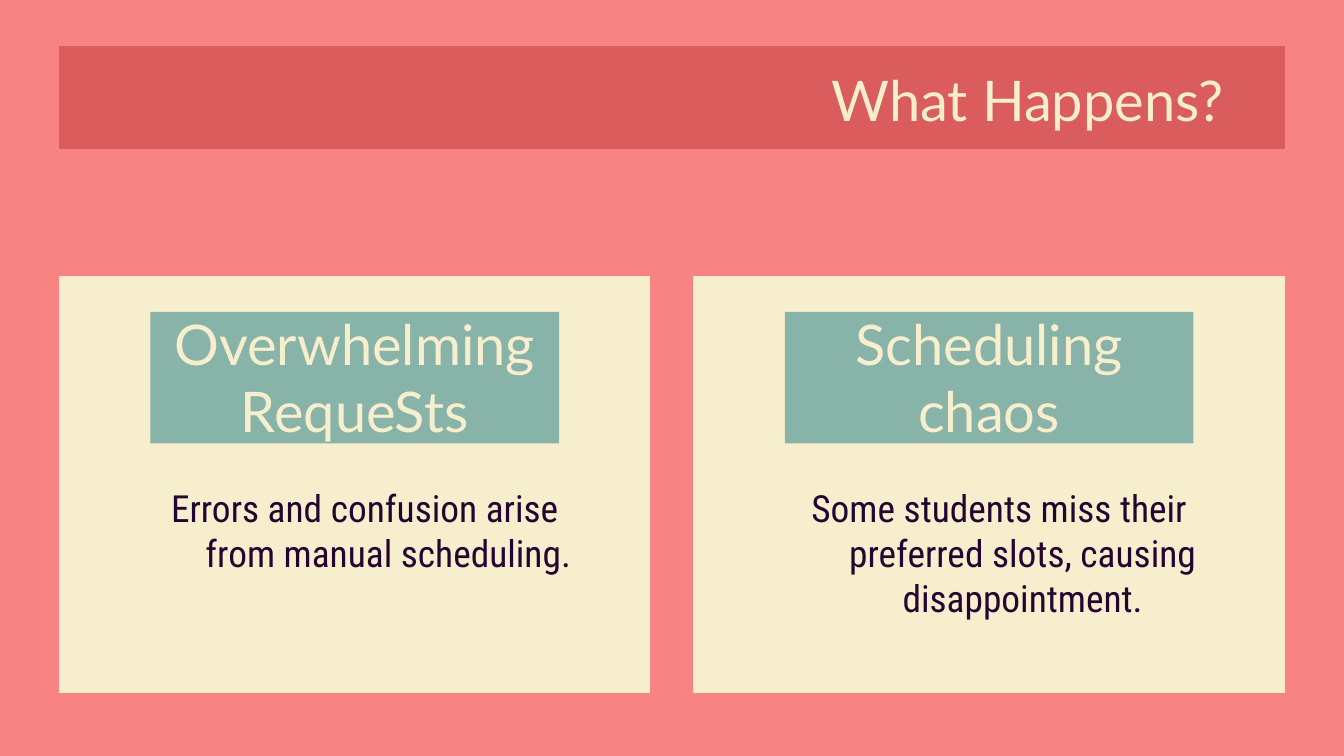
from pptx import Presentation
from pptx import util as u
from pptx.dml import color
from pptx.enum import shapes, text

HUES = {"back": "F78383", "bar": "DA5C5D", "cream": "F7EECE",
        "teal": "88B3A9", "ink": "240430"}
HEAD = {"name": "Lato", "size": u.Pt(30), "bold": False}
BODY = {"name": "Roboto Condensed", "size": u.Pt(20), "bold": False}
CARDS = [
    ("Overwhelming RequeSts", "Errors and confusion arise from manual scheduling."),
    ("Scheduling chaos",
     "Some students miss their preferred slots, causing disappointment."),
]


def tint(key):
    """Return the named colour."""
    return color.RGBColor.from_string(HUES[key])


def put(item, values):
    """Set each attribute of an item from a dict."""
    for name, value in values.items():
        setattr(item, name, value)


def block(slide, kind, box, key):
    """Add a plain filled shape."""
    shape = slide.shapes.add_shape(kind, *map(u.Inches, box))
    shape.shadow.inherit = False
    shape.fill.solid()
    shape.fill.fore_color.rgb = tint(key)
    shape.line.fill.background()
    return shape


def write(shape, words, font, key, align, anchor, pad):
    """Fill a shape with one formatted paragraph and return it."""
    frame = shape.text_frame
    side = u.Inches(0.1)
    put(frame, {"text": words, "word_wrap": True, "vertical_anchor": anchor,
                "auto_size": text.MSO_AUTO_SIZE.NONE,
                "margin_left": side, "margin_right": side,
                "margin_top": u.Inches(pad), "margin_bottom": u.Inches(pad)})
    para = frame.paragraphs[0]
    para.alignment = align
    run = para.runs[0]
    put(run.font, font)
    run.font.color.rgb = tint(key)
    return para


def banner(slide, box):
    """Place the title on its bar."""
    left, top, width, height = box
    block(slide, shapes.MSO_SHAPE.FLOWCHART_PROCESS, box, "bar")
    title = slide.shapes.title
    put(title, {"left": u.Inches(left + 1.86), "top": u.Inches(top + 0.05),
                "width": u.Inches(width - 2.21), "height": u.Inches(height - 0.13)})
    write(title, "What Happens?", HEAD, "cream", text.PP_ALIGN.RIGHT,
          text.MSO_ANCHOR.TOP, 0.1)
    slide.shapes._spTree.append(title._element)


def card(slide, box, label, words):
    """Place a card with its label and message."""
    left, top, width, height = box
    mid = text.PP_ALIGN.CENTER
    block(slide, shapes.MSO_SHAPE.FLOWCHART_PROCESS, box, "cream")
    tag = block(slide, shapes.MSO_SHAPE.RECTANGLE,
                (left + 0.68, top + 0.27, width - 1.36, 0.98), "teal")
    write(tag, label, HEAD, "cream", mid, text.MSO_ANCHOR.BOTTOM, 0)
    note = slide.shapes.add_textbox(*map(u.Inches, (
        left + 0.35, top + 1.46, width - 0.7, height - 1.68)))
    para = write(note, words, BODY, "ink", mid, text.MSO_ANCHOR.TOP, 0.1)
    props = para._p.get_or_add_pPr()
    props.set("marL", str(u.Inches(0.5)))
    props.set("indent", str(u.Inches(-0.35)))


def main():
    """Build and save the slide."""
    deck = Presentation()
    across = u.Inches(10)
    put(deck, {"slide_width": across, "slide_height": across * 9 // 16})
    slide = deck.slides.add_slide(deck.slide_layouts[5])
    slide.background.fill.solid()
    slide.background.fill.fore_color.rgb = tint("back")
    edge, wide, gap = 0.44, 4.4, 0.32
    banner(slide, (edge, 0.34, 2 * wide + gap, 0.77))
    for i, (label, words) in enumerate(CARDS):
        card(slide, (edge + i * (wide + gap), 2.05, wide, 3.11), label, words)
    deck.save("out.pptx")


if __name__ == "__main__":
    main()
